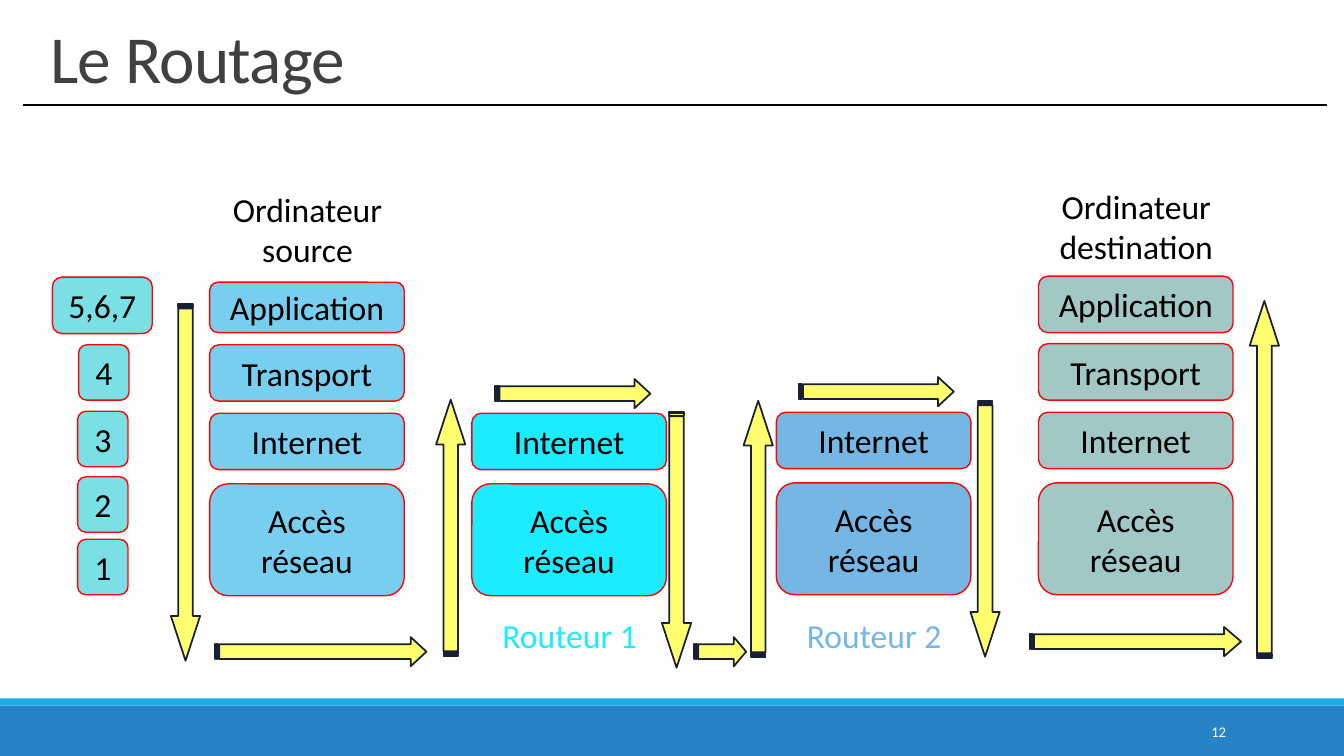
from lxml.etree import SubElement
from pptx import Presentation
from pptx.dml.color import RGBColor
from pptx.enum.shapes import MSO_CONNECTOR, MSO_SHAPE
from pptx.enum.text import MSO_ANCHOR, MSO_AUTO_SIZE, PP_ALIGN
from pptx.oxml.ns import qn
from pptx.util import Pt


class Theme:
    font = "Calibri"
    title_size, body_size, number_size = 48, 24, 10.5
    title, ink, white = "404040", "000000", "FFFFFF"
    footer, footer_edge = "2683C6", "1CADE4"
    box_line, arrow_line, arrow_fill = "FF0208", "1A2034", "FFFF00"
    level, source, destination = "7AE0E5", "77CEEF", "A1C8C5"
    router_1, router_2 = "1BECFF", "75B6E5"


PX = 9144  # 100 px to the inch


def add_block(kind, left, top, width, height, fill, line=None, line_width=1):
    block = page.shapes.add_shape(kind, left * PX, top * PX, width * PX, height * PX)
    block.shadow.inherit = False
    block.fill.solid()
    block.fill.fore_color.rgb = RGBColor.from_string(fill)
    if line:
        block.line.color.rgb = RGBColor.from_string(line)
        block.line.width = Pt(line_width)
    else:
        block.line.fill.background()
    return block


def write(shape, text, color, size=Theme.body_size, align=PP_ALIGN.CENTER, anchor=MSO_ANCHOR.MIDDLE):
    frame = shape.text_frame
    frame.text = text
    frame.word_wrap = True
    frame.auto_size = MSO_AUTO_SIZE.NONE
    frame.vertical_anchor = anchor
    para = frame.paragraphs[0]
    para.alignment = align
    span = para.runs[0]
    span.font.name = Theme.font
    span.font.size = Pt(size)
    span.font.color.rgb = RGBColor.from_string(color)
    return para


deck = Presentation()
deck.slide_width, deck.slide_height = 1333 * PX, 750 * PX
page = deck.slides.add_slide(deck.slide_layouts[5])

# Footer band and page number
add_block(MSO_SHAPE.RECTANGLE, 0, 700, 1333, 50, Theme.footer)
add_block(MSO_SHAPE.RECTANGLE, 0, 693, 1333, 7, Theme.footer_edge)
page_number = page.shapes.add_textbox(1083 * PX, 706 * PX, 143 * PX, 40 * PX)
write(page_number, "12", Theme.white, Theme.number_size, PP_ALIGN.RIGHT)

# Title and its rule
title = page.shapes.title
title.left, title.top, title.width, title.height = 40 * PX, 15 * PX, 1293 * PX, 86 * PX
para = write(title, "Le Routage", Theme.title, Theme.title_size, PP_ALIGN.LEFT, MSO_ANCHOR.BOTTOM)
para.line_spacing = 0.85
para.runs[0].font._element.set("spc", "-50")
rule = page.shapes.add_connector(MSO_CONNECTOR.STRAIGHT, 23 * PX, 104 * PX, 1316 * PX, 104 * PX)
rule.line.color.rgb = RGBColor.from_string(Theme.ink)
rule.line.width = Pt(1.25)
SubElement(rule._element.spPr, qn("a:effectLst"))

# Layer boxes: text, left, top, width, height, fill
boxes = [
    ("5,6,7", 52, 275, 99, 56, Theme.level),
    ("4", 78, 342, 50, 55, Theme.level),
    ("3", 77, 408, 50, 55, Theme.level),
    ("2", 77, 473, 50, 55, Theme.level),
    ("1", 77, 535, 50, 55, Theme.level),
    ("Application", 208, 280, 193, 50, Theme.source),
    ("Application", 1030, 274, 193, 56, Theme.destination),
]

# Machines: label, label top, label colour, left, Internet top, fill, is a computer
machines = [
    ("Ordinateur source", 182, Theme.ink, 208, 410, Theme.source, True),
    ("Ordinateur destination", 179, Theme.ink, 1030, 409, Theme.destination, True),
    ("Routeur 1", 605, Theme.router_1, 468, 410, Theme.router_1, False),
    ("Routeur 2", 605, Theme.router_2, 770, 409, Theme.router_2, False),
]
for label, label_top, label_color, left, top, fill, is_computer in machines:
    if is_computer:
        boxes.append(("Transport", left, top - 68, 193, 56, fill))
    boxes.append(("Internet", left, top, 193, 56, fill))
    boxes.append(("Accès réseau", left, top + 70, 193, 111, fill))
    caption = page.shapes.add_textbox((left - 18) * PX, label_top * PX, 230 * PX, 91 * PX)
    write(caption, label, label_color, anchor=MSO_ANCHOR.TOP)

for text, left, top, width, height, fill in boxes:
    box = add_block(MSO_SHAPE.ROUNDED_RECTANGLE, left, top, width, height, fill, Theme.box_line)
    write(box, text, Theme.ink)

# Path of the data: left, top, length, rotation, head length
DOWN, UP, ACROSS = 90, 270, 0
arrows = [
    (7, 464, 354, DOWN, 1.53),
    (213, 632, 210, ACROSS, 0.54),
    (320, 509, 254, UP, 1.53),
    (491, 376, 154, ACROSS, 0.54),
    (544, 521, 254, DOWN, 1.53),
    (688, 632, 52, ACROSS, 0.42),
    (625, 510, 254, UP, 1.53),
    (792, 374, 154, ACROSS, 0.54),
    (850, 510, 254, DOWN, 1.53),
    (1021, 622, 210, ACROSS, 0.58),
    (1077, 461, 354, UP, 1.53),
]
for left, top, length, rotation, head in arrows:
    arrow = add_block(MSO_SHAPE.STRIPED_RIGHT_ARROW, left, top, length, 29,
                      Theme.arrow_fill, Theme.arrow_line, 1.25)
    arrow.rotation = rotation
    arrow.adjustments[0] = 0.5
    arrow.adjustments[1] = head
    fill_color = arrow._element.spPr.find(qn("a:solidFill"))[0]
    SubElement(fill_color, qn("a:alpha")).set("val", "56000")

deck.save("out.pptx")
